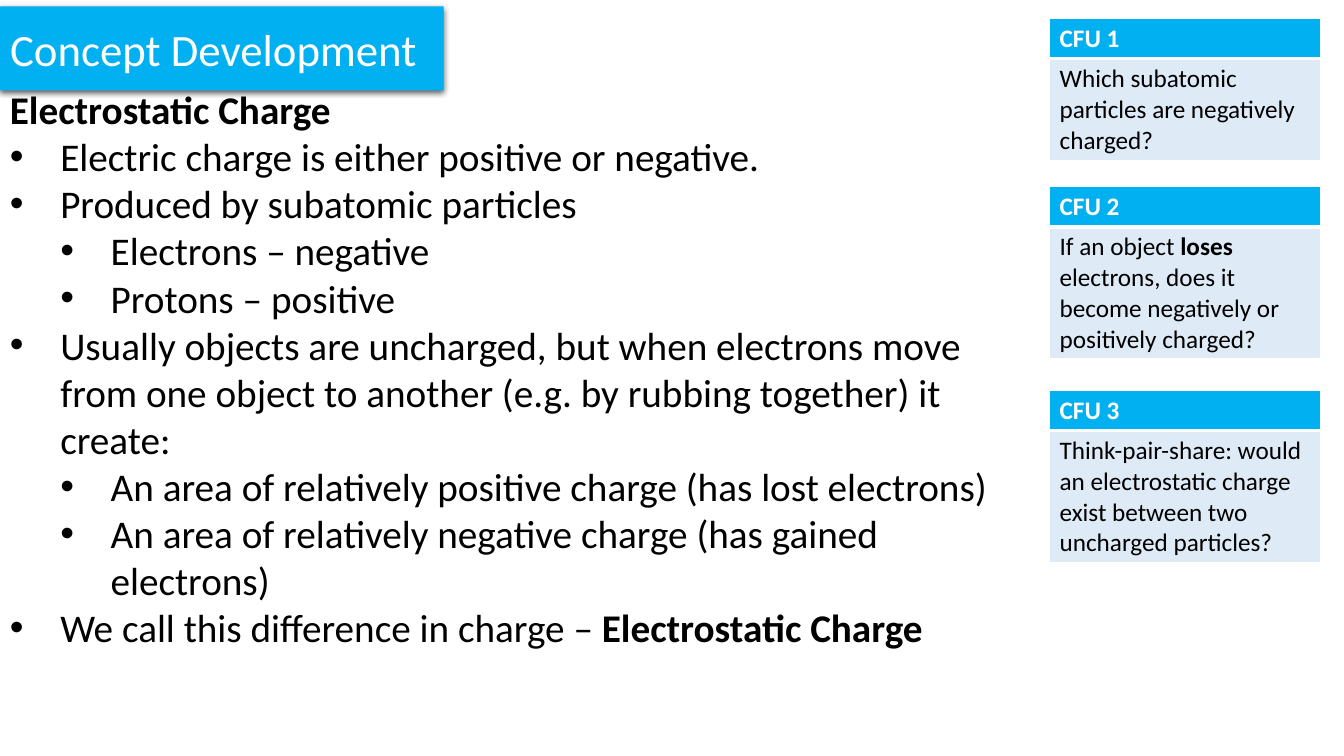
from lxml import etree
from pptx import Presentation
from pptx.dml.color import RGBColor
from pptx.enum import text
from pptx.oxml import ns
from pptx.util import Inches, Pt

COLORS = {"banner": "00B0F0", "panel": "DEEBF7", "white": "FFFFFF", "black": "000000"}
FONT = "Calibri"
TITLE = "Concept Development"

# Each line: bullet depth (0 = heading), then runs of (words, bold)
NOTES = [
    (0, [("Electrostatic Charge", True)]),
    (1, [("Electric charge is either positive or negative.", False)]),
    (1, [("Produced by subatomic particles", False)]),
    (2, [("Electrons – negative", False)]),
    (2, [("Protons – positive", False)]),
    (1, [("Usually objects are uncharged, but when electrons move from one object "
          "to another (e.g. by rubbing together) it create:", False)]),
    (2, [("An area of relatively positive charge (has lost electrons)", False)]),
    (2, [("An area of relatively negative charge (has gained electrons)", False)]),
    (1, [("We call this difference in charge – ", False), ("Electrostatic Charge", True)]),
]

# Each check for understanding: heading, top, question height, question runs
CHECKS = [
    ("CFU 1", 0.18, 1.01, [("Which subatomic particles are negatively charged?", False)]),
    ("CFU 2", 1.85, 1.31, [("If an object ", False), ("loses", True),
                           (" electrons, does it become negatively or positively charged?", False)]),
    ("CFU 3", 3.87, 1.31, [("Think-pair-share: would an electrostatic charge exist between "
                           "two uncharged particles?", False)]),
]
CHECK_LEFT, CHECK_WIDTH, HEADING_HEIGHT = 10.41, 2.69, 0.39
INDENT = 0.5


def color(name):
    return RGBColor.from_string(COLORS[name])


def add_element(parent, tag, **attributes):
    element = etree.SubElement(parent, ns.qn(tag))
    for key, value in attributes.items():
        element.set(key, str(value))
    return element


def add_runs(paragraph, runs, size, color_name):
    for words, bold in runs:
        run = paragraph.add_run()
        run.text = words
        run.font.name = FONT
        run.font.size = Pt(size)
        run.font.bold = bold
        run.font.color.rgb = color(color_name)


def add_banner(slide):
    banner = slide.shapes.title
    banner.left, banner.top = Inches(0), Inches(0.16)
    banner.width, banner.height = Inches(4.4), Inches(0.64)
    properties = banner.element.spPr
    geometry = add_element(properties, "a:prstGeom", prst="homePlate")
    add_element(geometry, "a:avLst")
    banner.fill.solid()
    banner.fill.fore_color.rgb = color("banner")
    effects = add_element(properties, "a:effectLst")
    shadow = add_element(effects, "a:outerShdw", blurRad=Pt(4.5), dist=Pt(1.5),
                         dir=5400000, rotWithShape=0)
    shade = add_element(shadow, "a:srgbClr", val=COLORS["black"])
    add_element(shade, "a:alpha", val=63000)

    frame = banner.text_frame
    frame.word_wrap = False
    frame.auto_size = text.MSO_AUTO_SIZE.SHAPE_TO_FIT_TEXT
    frame.vertical_anchor = text.MSO_ANCHOR.MIDDLE
    paragraph = frame.paragraphs[0]
    paragraph.alignment = text.PP_ALIGN.LEFT
    add_runs(paragraph, [(TITLE, False)], 32, "white")


def add_notes(slide):
    box = slide.shapes.add_textbox(Inches(0), Inches(0.8), Inches(10.36), Inches(5.76))
    frame = box.text_frame
    frame.word_wrap = True
    frame.auto_size = text.MSO_AUTO_SIZE.SHAPE_TO_FIT_TEXT
    for index, (depth, runs) in enumerate(NOTES):
        paragraph = frame.add_paragraph() if index else frame.paragraphs[0]
        if depth:
            paragraph.level = depth - 1
            properties = paragraph._p.get_or_add_pPr()
            properties.set("marL", str(Inches(INDENT * depth)))
            properties.set("indent", str(-Inches(INDENT)))
            add_element(properties, "a:buFont", typeface="Arial")
            add_element(properties, "a:buChar", char="•")
        add_runs(paragraph, runs, 28, "black")


def set_borders(cell, widths):
    """Draw white borders, given as points for left, right, top and bottom."""
    properties = cell._tc.get_or_add_tcPr()
    for side, width in zip("LRTB", widths):
        line = add_element(properties, f"a:ln{side}", w=Pt(width))
        fill = add_element(line, "a:solidFill")
        add_element(fill, "a:srgbClr", val=COLORS["white"])


def add_check(slide, heading, top, question_height, question):
    heights = (HEADING_HEIGHT, question_height)
    table = slide.shapes.add_table(2, 1, Inches(CHECK_LEFT), Inches(top),
                                   Inches(CHECK_WIDTH), Inches(sum(heights))).table
    rows = [
        ([(heading, True)], "white", "banner", (1, 1, 1, 3)),
        (question, "black", "panel", (1, 1, 3, 1)),
    ]
    for index, (runs, ink, fill, borders) in enumerate(rows):
        table.rows[index].height = Inches(heights[index])
        cell = table.cell(index, 0)
        set_borders(cell, borders)
        cell.fill.solid()
        cell.fill.fore_color.rgb = color(fill)
        add_runs(cell.text_frame.paragraphs[0], runs, 18, ink)


def main():
    presentation = Presentation()
    presentation.slide_width, presentation.slide_height = Inches(13.33), Inches(7.5)
    slide = presentation.slides.add_slide(presentation.slide_layouts.get_by_name("Title Only"))
    add_banner(slide)
    add_notes(slide)
    for check in CHECKS:
        add_check(slide, *check)
    presentation.save("out.pptx")


if __name__ == "__main__":
    main()
